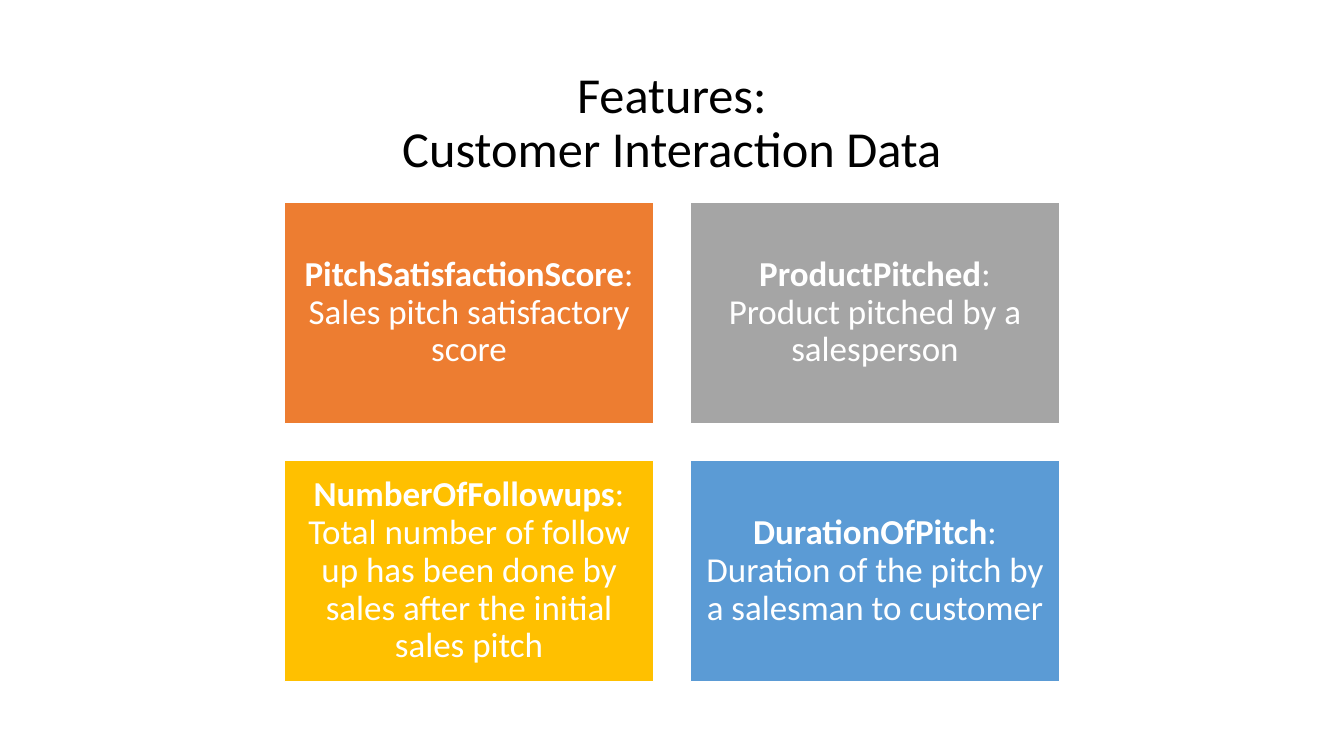
import pptx
import pptx.util
import pptx.dml.color
import pptx.enum.shapes
import pptx.enum.text
from dataclasses import dataclass

Cm, Pt = pptx.util.Cm, pptx.util.Pt
RGB = pptx.dml.color.RGBColor.from_string


@dataclass(frozen=True)
class Theme:
    font: str = "Calibri"
    title_size: int = 36
    card_size: int = 25
    dark: str = "000000"
    light: str = "FFFFFF"
    orange: str = "ED7D31"
    gray: str = "A5A5A5"
    gold: str = "FFC000"
    blue: str = "5B9BD5"


theme = Theme()


def centre_text(sp, inset):
    """Prepare a centred text frame and return its paragraph."""
    tf = sp.text_frame
    tf.word_wrap = True
    tf.vertical_anchor = pptx.enum.text.MSO_ANCHOR.MIDDLE
    tf.margin_left = tf.margin_right = tf.margin_top = tf.margin_bottom = Cm(inset)
    p = tf.paragraphs[0]
    p.alignment = pptx.enum.text.PP_ALIGN.CENTER
    p.line_spacing = 0.9
    return p


def add_run(p, text, size, color, bold=False):
    r = p.add_run()
    r.text = text
    r.font.name = theme.font
    r.font.size = Pt(size)
    r.font.bold = bold
    r.font.color.rgb = RGB(color)


prs = pptx.Presentation()
prs.slide_width, prs.slide_height = Cm(33.87), Cm(19.05)
s = prs.slides.add_slide(prs.slide_layouts[6])

# Title
sp = s.shapes.add_textbox(Cm(2.33), Cm(1.55), Cm(29.21), Cm(3.15))
p = centre_text(sp, 0.13)
add_run(p, "Features:", theme.title_size, theme.dark)
p.add_line_break()
add_run(p, "Customer Interaction Data", theme.title_size, theme.dark)

# Feature cards in a two-column grid
features = [
    ("PitchSatisfactionScore", "Sales pitch satisfactory score", theme.orange),
    ("ProductPitched", "Product pitched by a salesperson", theme.gray),
    ("NumberOfFollowups",
     "Total number of follow up has been done by sales after the initial sales pitch",
     theme.gold),
    ("DurationOfPitch", "Duration of the pitch by a salesman to customer", theme.blue),
]
left, top = 7.17, 5.09
width, height, gap = 9.3, 5.58, 0.93

for i, (name, meaning, color) in enumerate(features):
    row, col = divmod(i, 2)
    sp = s.shapes.add_shape(
        pptx.enum.shapes.MSO_SHAPE.RECTANGLE,
        Cm(left + col * (width + gap)), Cm(top + row * (height + gap)),
        Cm(width), Cm(height))
    sp.shadow.inherit = False
    sp.fill.solid()
    sp.fill.fore_color.rgb = RGB(color)
    sp.line.color.rgb = RGB(theme.light)
    sp.line.width = Pt(1)
    p = centre_text(sp, 0.25)
    add_run(p, name, theme.card_size, theme.light, bold=True)
    add_run(p, f": {meaning}", theme.card_size, theme.light)

prs.save("out.pptx")
